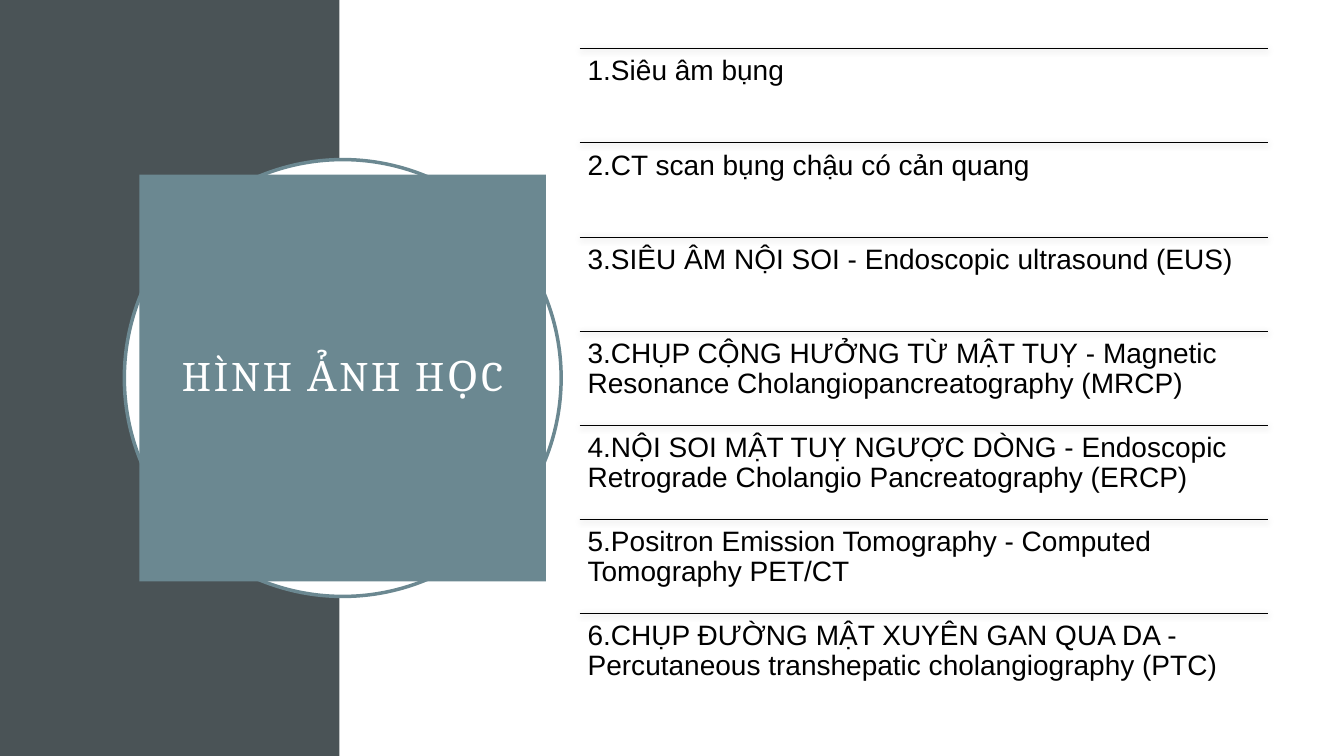
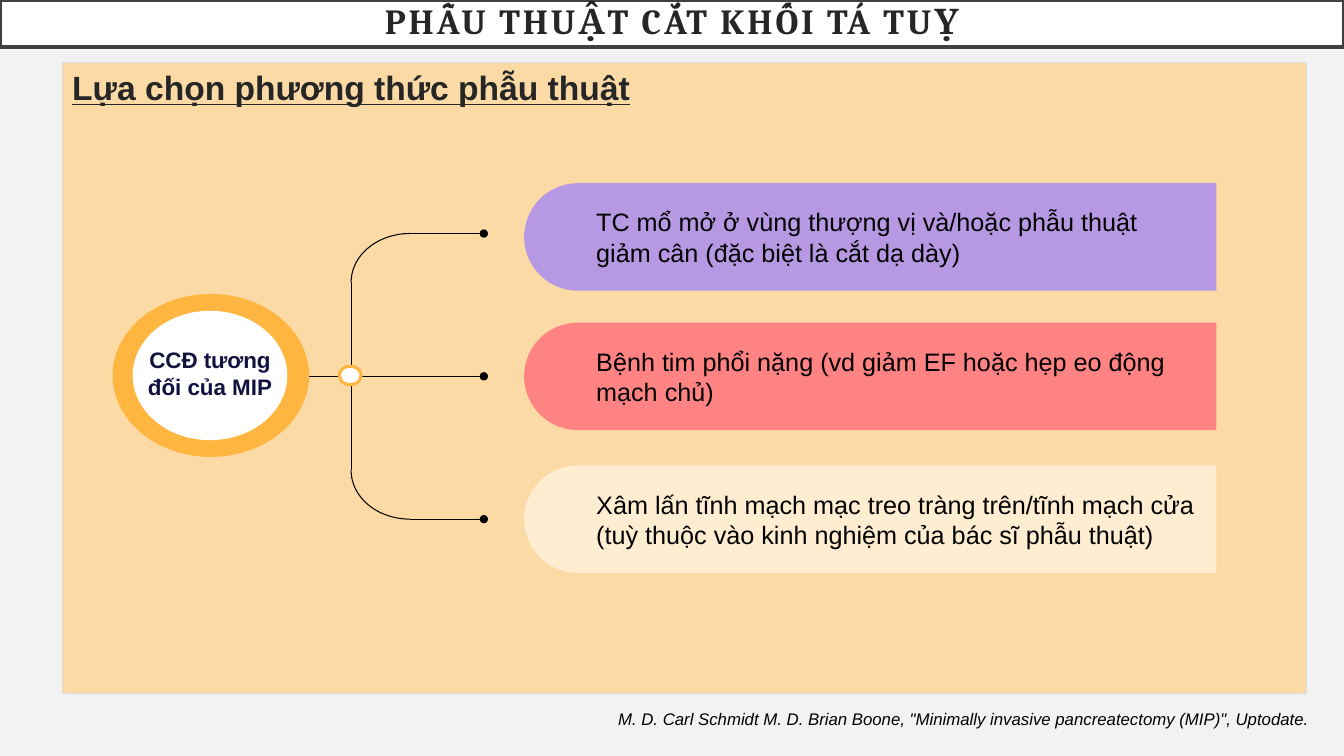
from lxml import etree
from pptx import Presentation
from pptx.dml.color import RGBColor
from pptx.enum.shapes import MSO_CONNECTOR, MSO_SHAPE
from pptx.enum.text import MSO_ANCHOR, MSO_AUTO_SIZE, PP_ALIGN
from pptx.oxml.ns import qn
from pptx.util import Emu, Inches, Pt

RECT, OVAL, ARC = MSO_SHAPE.RECTANGLE, MSO_SHAPE.OVAL, MSO_SHAPE.ARC
PILL = MSO_SHAPE.ROUND_2_SAME_RECTANGLE
STRAIGHT = MSO_CONNECTOR.STRAIGHT
CENTER, LEFT = PP_ALIGN.CENTER, PP_ALIGN.LEFT
TOP, MIDDLE = MSO_ANCHOR.TOP, MSO_ANCHOR.MIDDLE
NO_AUTOFIT = MSO_AUTO_SIZE.NONE

rgb = RGBColor.from_string
WHITE, BLACK, INK = "FFFFFF", "000000", "262626"
SLATE, TEAL, AMBER = "4A5356", "6B8891", "FFB641"

# The slide is a grid of 800 columns by 450 rows of square cells.
COLS, ROWS = 800, 450
SLIDE_W, SLIDE_H = Inches(13.33333), Inches(7.5)
CELL = SLIDE_H // ROWS

TITLE_STYLE = dict(font="Cambria", align=CENTER, anchor=MIDDLE,
                   inset=0.2, leading=0.9, tracking=2)


def paint(shape, fill=None, line=None, width=0.75):
    """Set fill and outline, drop the theme shadow, return the effect list."""
    if fill:
        shape.fill.solid()
        shape.fill.fore_color.rgb = rgb(fill)
    elif hasattr(shape, "fill"):
        shape.fill.background()
    if line:
        shape.line.color.rgb = rgb(line)
        shape.line.width = Pt(width)
    else:
        shape.line.fill.background()
    return etree.SubElement(shape.element.spPr, qn("a:effectLst"))


def write(shape, text, size, color=BLACK, font="Arial", bold=False, italic=False,
          underline=False, align=LEFT, anchor=TOP, inset=None, leading=1.0,
          tracking=0):
    """Fill a shape with one paragraph of one run and return the paragraph."""
    frame = shape.text_frame
    frame.word_wrap = True
    frame.auto_size = NO_AUTOFIT
    frame.vertical_anchor = anchor
    if inset is not None:
        frame.margin_left = frame.margin_right = Inches(inset)
        frame.margin_top = frame.margin_bottom = Inches(inset)
    paragraph = frame.paragraphs[0]
    paragraph.alignment = align
    paragraph.line_spacing = leading
    paragraph.space_before = Pt(0)
    run = paragraph.add_run()
    run.text = text
    run.font.name, run.font.size = font, Pt(size)
    run.font.color.rgb = rgb(color)
    run.font.bold, run.font.italic, run.font.underline = bold, italic, underline
    if tracking:
        run._r.get_or_add_rPr().set("spc", str(tracking * 100))
    return paragraph


prs = Presentation()
prs.slide_width, prs.slide_height = Emu(CELL * COLS), SLIDE_H
content_layout, title_layout = prs.slide_layouts[1], prs.slide_layouts[5]

# Slide 1: imaging methods
slide = prs.slides.add_slide(title_layout)
shapes = slide.shapes
side_band = shapes.add_shape(RECT, 0, 0, CELL * 202, SLIDE_H)
paint(side_band, SLATE)

center_x, center_y, ring_size, title_size = 204, 225, 260, 242
ring = shapes.add_shape(OVAL, CELL * (center_x - ring_size // 2),
                        CELL * (center_y - ring_size // 2),
                        CELL * ring_size, CELL * ring_size)
paint(ring, WHITE, TEAL, 2.5)

title = shapes.title
title.left = CELL * (center_x - title_size // 2)
title.top = CELL * (center_y - title_size // 2)
title.width = title.height = CELL * title_size
paint(title, TEAL)
write(title, "HÌNH ẢNH HỌC", 30, WHITE, **TITLE_STYLE)
shapes.element.append(title.element)  # in front of the ring

methods = [
    "1.Siêu âm bụng",
    "2.CT scan bụng chậu có cản quang",
    "3.SIÊU ÂM NỘI SOI - Endoscopic ultrasound (EUS)",
    "3.CHỤP CỘNG HƯỞNG TỪ MẬT TUỴ - Magnetic Resonance "
    "Cholangiopancreatography (MRCP)",
    "4.NỘI SOI MẬT TUỴ NGƯỢC DÒNG - Endoscopic Retrograde Cholangio "
    "Pancreatography (ERCP)",
    "5.Positron Emission Tomography - Computed Tomography PET/CT",
    "6.CHỤP ĐƯỜNG MẬT XUYÊN GAN QUA DA - Percutaneous transhepatic "
    "cholangiography (PTC)",
]
list_left, list_top, list_width, row_height = 345, 29, 410, 56
for index, method in enumerate(methods):
    row_top = CELL * (list_top + index * row_height)
    rule = shapes.add_connector(STRAIGHT, CELL * list_left, row_top,
                                CELL * (list_left + list_width), row_top)
    effects = paint(rule, line=BLACK, width=0.5)
    shadow = etree.SubElement(effects, qn("a:outerShdw"), blurRad=str(Pt(4.4)),
                              dist=str(Pt(1.2)), dir="5400000", rotWithShape="0")
    shadow_color = etree.SubElement(shadow, qn("a:srgbClr"), val=BLACK)
    etree.SubElement(shadow_color, qn("a:alpha"), val="45000")
    entry = shapes.add_textbox(CELL * list_left, row_top,
                               CELL * list_width, CELL * row_height)
    write(entry, method, 20, inset=0.08, leading=0.9)

# Slide 2: choice of operation
slide = prs.slides.add_slide(content_layout)
shapes = slide.shapes
slide.background.fill.solid()
slide.background.fill.fore_color.rgb = rgb("F2F2F2")

title, panel = shapes.title, slide.placeholders[1]
title.left, title.top, title.width, title.height = 0, 0, CELL * COLS, CELL * 28
paint(title, WHITE, "404040", 2.5)
write(title, "PHẪU THUẬT CẮT KHỐI TÁ TUỴ", 25.2, INK, bold=True, **TITLE_STYLE)

panel.left, panel.top = CELL * 37, CELL * 37
panel.width, panel.height = CELL * 741, CELL * 376
paint(panel, "FBDAA5", "D7DFE1")
heading = write(panel, "Lựa chọn phương thức phẫu thuật", 24, INK,
                bold=True, underline=True)
heading_props = heading._p.get_or_add_pPr()
heading_props.set("marL", "0")
heading_props.set("indent", "0")
etree.SubElement(heading_props, qn("a:buNone"))

# Pill centre row, colour and text of each contraindication
contraindications = [
    (141, "B799E3", "TC mổ mở ở vùng thượng vị và/hoặc phẫu thuật giảm cân "
                    "(đặc biệt là cắt dạ dày)"),
    (224, "FF8382", "Bệnh tim phổi nặng (vd giảm EF hoặc hẹp eo động mạch chủ)"),
    (309, "FFEDD1", "Xâm lấn tĩnh mạch mạc treo tràng trên/tĩnh mạch cửa "
                    "(tuỳ thuộc vào kinh nghiệm của bác sĩ phẫu thuật)"),
]
pill_left, pill_length, pill_height = 312, 412, 64
for pill_y, color, reason in contraindications:
    pill_x = pill_left + pill_length // 2
    pill = shapes.add_shape(PILL, CELL * (pill_x - pill_height // 2),
                            CELL * (pill_y - pill_length // 2),
                            CELL * pill_height, CELL * pill_length)
    pill.rotation = 270
    pill.adjustments[0], pill.adjustments[1] = 0.5, 0
    paint(pill, color)
    label = shapes.add_textbox(CELL * 349, CELL * (pill_y - 21),
                               CELL * 368, CELL * 42)
    write(label, reason, 18, anchor=MIDDLE)

trunk_x, trunk_y, branch_gap, branch_end = 209, 224, 85, 288
arc_w, arc_h = 70, 58
upper_y, lower_y = trunk_y - branch_gap, trunk_y + branch_gap

# Arc angles in units of 100000 / 60000 degree: a quarter turn is 54
for arc_top, start, end in [(upper_y, 108, 162), (lower_y - arc_h, 54, 108)]:
    bend = shapes.add_shape(ARC, CELL * trunk_x, CELL * arc_top,
                            CELL * arc_w, CELL * arc_h)
    bend.adjustments[0], bend.adjustments[1] = start, end
    paint(bend, line=BLACK)

bend_x, half_arc = trunk_x + arc_w // 2, arc_h // 2
branches = [
    (bend_x, upper_y, branch_end, upper_y),
    (147, trunk_y, branch_end, trunk_y),
    (bend_x, lower_y, branch_end, lower_y),
    (trunk_x, upper_y + half_arc, trunk_x, lower_y - half_arc),
]
for x1, y1, x2, y2 in branches:
    branch = shapes.add_connector(STRAIGHT, CELL * x1, CELL * y1,
                                  CELL * x2, CELL * y2)
    paint(branch, line=BLACK)
    if x2 == branch_end:
        etree.SubElement(branch.line._get_or_add_ln(), qn("a:tailEnd"), type="oval")

# Junction, then the two discs of the hub
for left, top, width, height, fill, line in [
    (202, 218, 13, 11, WHITE, AMBER),
    (67, 175, 117, 97, AMBER, None),
    (79, 185, 92, 77, WHITE, None),
]:
    disc = shapes.add_shape(OVAL, CELL * left, CELL * top,
                            CELL * width, CELL * height)
    paint(disc, fill, line, 2.25)

hub_label = shapes.add_textbox(CELL * 78, CELL * 203, CELL * 94, CELL * 50)
write(hub_label, "CCĐ tương đối của MIP", 16, "121241", bold=True, align=CENTER)

citation = shapes.add_textbox(CELL * 362, CELL * 419, CELL * 430, CELL * 18)
write(citation, 'M. D. Carl Schmidt M. D. Brian Boone, "Minimally invasive '
                'pancreatectomy (MIP)", Uptodate.', 12, italic=True)

prs.save("out.pptx")
